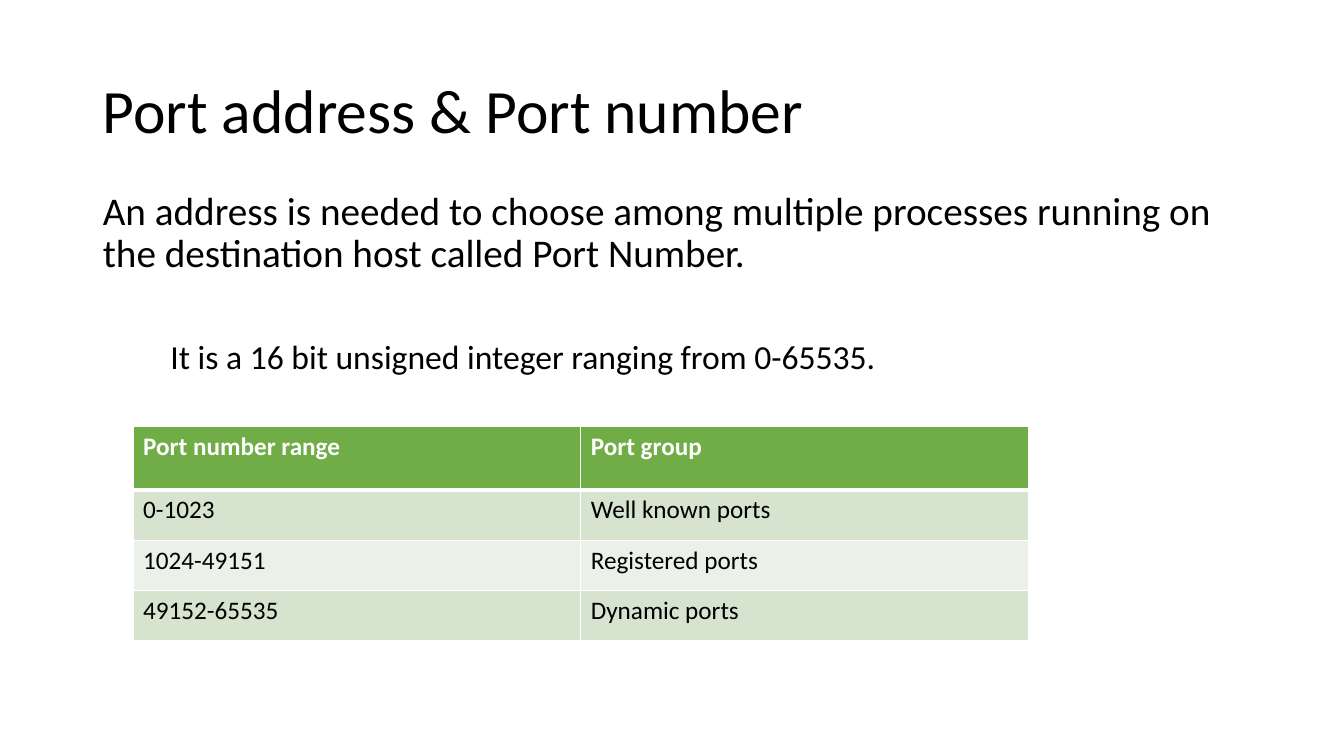
import lxml.etree
import pptx
import pptx.dml.color
import pptx.enum.text
import pptx.oxml.ns
import pptx.util

TITLE = "Port address & Port number"
STATEMENTS = [
    {"text": "An address is needed to choose among multiple processes running on "
             "the destination host called Port Number.",
     "size": 28, "before": 10, "indent": 0},
    {"text": "It is a 16 bit unsigned integer ranging from 0-65535.",
     "size": 24, "before": 46, "indent": 0.67},
]
PORT_ROWS = [
    ("Port number range", "Port group"),
    ("0-1023", "Well known ports"),
    ("1024-49151", "Registered ports"),
    ("49152-65535", "Dynamic ports"),
]
COLORS = {"text": "000000", "white": "FFFFFF", "header": "70AD47",
          "odd": "D5E3CF", "even": "EBF1E9"}
FONT = "Calibri"
HEADER_HEIGHT, ROW_HEIGHT, COLUMN_WIDTH = 0.63, 0.5, 4.44
Inches = pptx.util.Inches


def write(para, text, size=18, color="text", bold=False, spacing=None, before=0, indent=0):
    para.alignment = pptx.enum.text.PP_ALIGN.LEFT
    para.space_before = pptx.util.Pt(before)
    if spacing:
        para.line_spacing = spacing
    properties = para._p.get_or_add_pPr()
    properties.set("marL", str(Inches(indent)))
    properties.set("indent", "0")
    lxml.etree.SubElement(properties, pptx.oxml.ns.qn("a:buNone"))
    span = para.add_run()
    span.text = text
    span.font.name = FONT
    span.font.size = pptx.util.Pt(size)
    span.font.bold = bold
    span.font.color.rgb = pptx.dml.color.RGBColor.from_string(COLORS[color])


def place(box, left, top, width, height, anchor):
    box.left, box.top, box.width, box.height = map(Inches, (left, top, width, height))
    frame = box.text_frame
    frame.word_wrap = True
    frame.auto_size = pptx.enum.text.MSO_AUTO_SIZE.NONE
    frame.vertical_anchor = anchor
    return frame


def add_borders(cell, widths):
    properties = cell._tc.get_or_add_tcPr()
    for side, points in widths.items():
        line = lxml.etree.SubElement(properties, pptx.oxml.ns.qn("a:ln" + side),
                                     w=str(pptx.util.Pt(points)))
        fill = lxml.etree.SubElement(line, pptx.oxml.ns.qn("a:solidFill"))
        lxml.etree.SubElement(fill, pptx.oxml.ns.qn("a:srgbClr"), val=COLORS["white"])


def add_port_table(page):
    height = HEADER_HEIGHT + ROW_HEIGHT * (len(PORT_ROWS) - 1)
    table = page.shapes.add_table(
        len(PORT_ROWS), len(PORT_ROWS[0]), Inches(1.32), Inches(4.23),
        Inches(COLUMN_WIDTH * len(PORT_ROWS[0])), Inches(height)).table
    for column in table.columns:
        column.width = Inches(COLUMN_WIDTH)
    for row_index, values in enumerate(PORT_ROWS):
        header = row_index == 0
        table.rows[row_index].height = Inches(HEADER_HEIGHT if header else ROW_HEIGHT)
        shade = "header" if header else ("even", "odd")[row_index % 2]
        borders = {"L": 1, "R": 1, "T": 3 if row_index == 1 else 1, "B": 3 if header else 1}
        for column_index, value in enumerate(values):
            cell = table.cell(row_index, column_index)
            add_borders(cell, borders)
            cell.fill.solid()
            cell.fill.fore_color.rgb = pptx.dml.color.RGBColor.from_string(COLORS[shade])
            write(cell.text_frame.paragraphs[0], value,
                  color="white" if header else "text", bold=header)


def main():
    deck = pptx.Presentation()
    deck.slide_width, deck.slide_height = Inches(13.33), Inches(7.5)
    page = deck.slides.add_slide(deck.slide_layouts[1])
    anchors = pptx.enum.text.MSO_ANCHOR
    title = place(page.shapes.title, 0.92, 0.4, 11.5, 1.45, anchors.MIDDLE)
    write(title.paragraphs[0], TITLE, size=44, spacing=0.9)
    body = place(page.placeholders[1], 0.92, 1.85, 11.5, 4.76, anchors.TOP)
    for index, statement in enumerate(STATEMENTS):
        para = body.add_paragraph() if index else body.paragraphs[0]
        write(para, spacing=0.9, **statement)
    add_port_table(page)
    deck.save("out.pptx")


if __name__ == "__main__":
    main()
